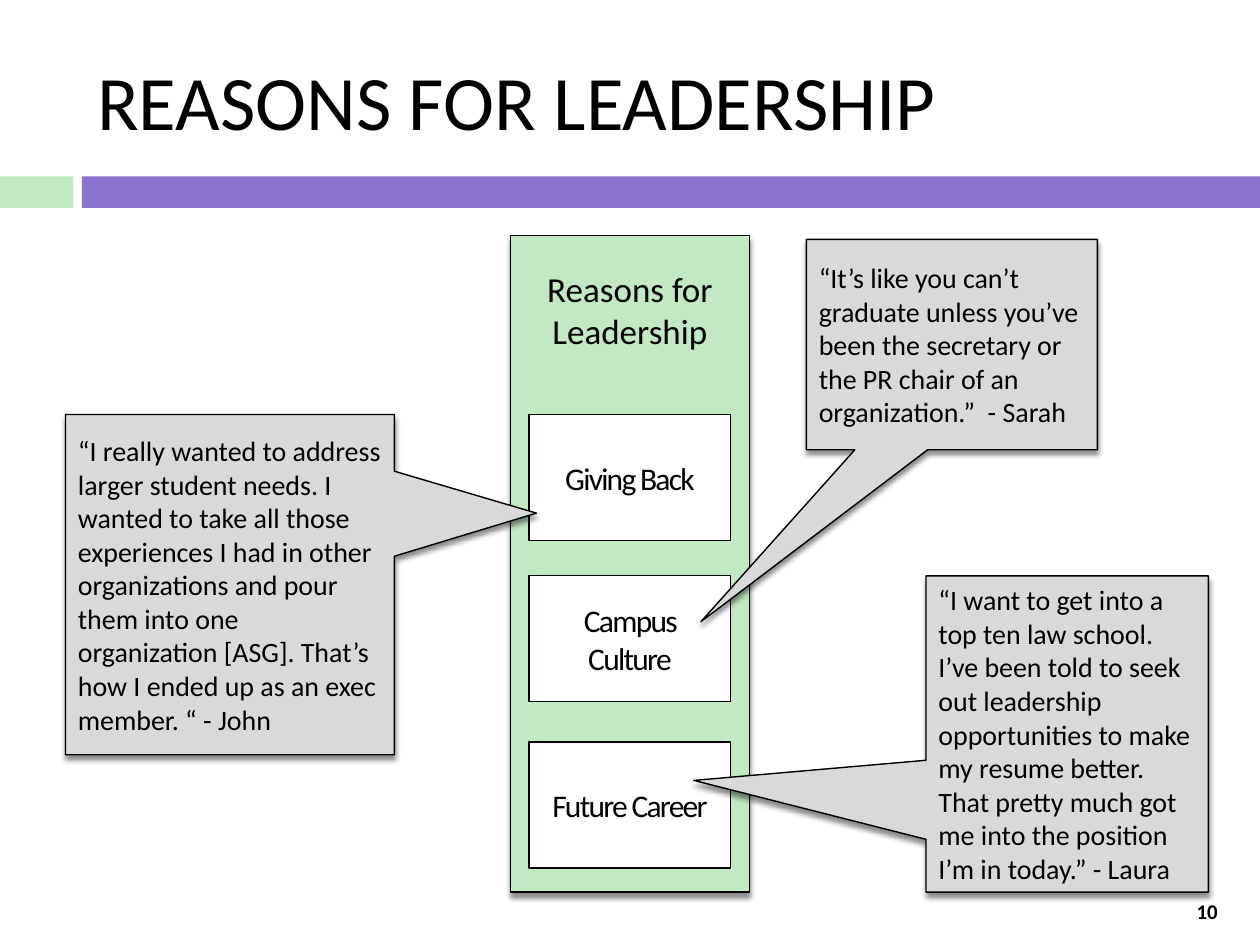
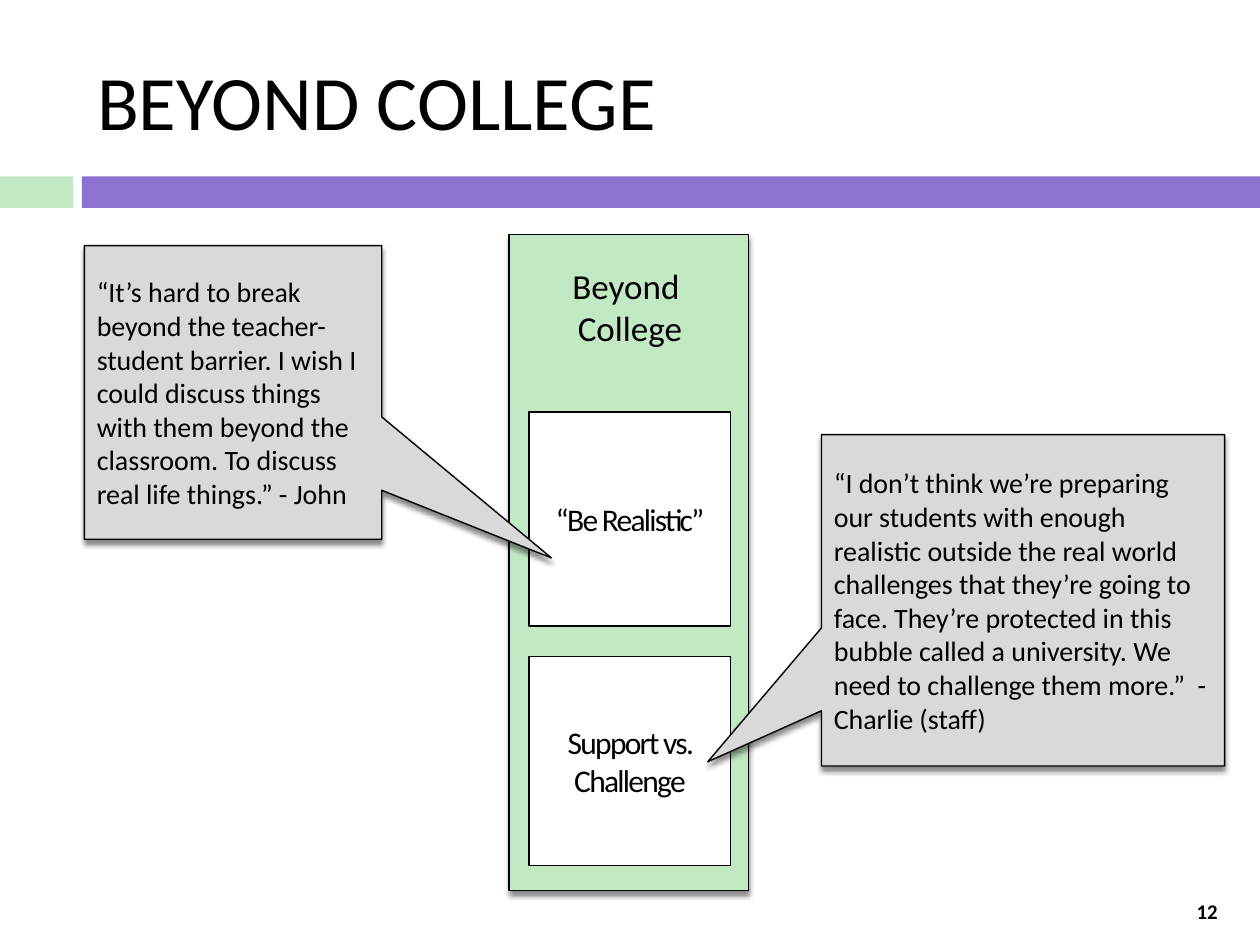
from lxml import etree
from pptx import Presentation
from pptx.dml.color import RGBColor
from pptx.enum.shapes import MSO_SHAPE as Shape
from pptx.enum.text import MSO_ANCHOR as Anchor, MSO_AUTO_SIZE as AutoSize, PP_ALIGN as Align
from pptx.oxml.ns import qn
from pptx.util import Inches, Pt

COLORS = {
    "mint": "C2E8C4",
    "purple": "8C73D0",
    "gray": "D9D9D9",
    "white": "FFFFFF",
    "black": "000000",
}
FONT = "Calibri"
TITLE = {"size": Pt(44)}
HEADING = {"size": Pt(20)}
REASON = {"size": Pt(18)}
QUOTE = {"size": Pt(16)}
PAGE_NUMBER = {"size": Pt(11.9), "bold": True}

TITLE_BOX = (0.67, 0.25, 8.92, 1.08)
PAGE_NUMBER_BOX = (9.29, 7.1, 0.58, 0.27)
BANDS = [((0, 1.4, 0.58, 0.25), "mint"), ((0.65, 1.4, 9.35, 0.25), "purple")]
REASON_LEFT, REASON_WIDTH = 4.2, 1.6

SLIDES = [
    {
        "title": "REASONS FOR LEADERSHIP",
        "number": "10",
        "panel": (4.05, 1.87, 1.9, 5.21),
        "heading": ((4.05, 2.07, 1.9, 0.77), "Reasons for Leadership"),
        "reasons": [
            (3.29, 1, "Giving Back"),
            (4.57, 1, "Campus Culture"),
            (5.89, 1, "Future Career"),
        ],
        "quotes": [
            ((6.4, 1.9, 2.31, 1.67), (-0.863, 1.318),
             "“It’s like you can’t graduate unless you’ve been the secretary or "
             "the PR chair of an organization.”  - Sarah"),
            ((7.35, 4.57, 2.24, 2.51), (-1.323, 0.147),
             "“I want to get into a top ten law school. I’ve been told to seek out "
             "leadership opportunities to make my resume better. That pretty much "
             "got me into the position I’m in today.” - Laura"),
            ((0.52, 3.29, 2.61, 2.7), (0.932, -0.21),
             "“I really wanted to address larger student needs. I wanted to take "
             "all those experiences I had in other organizations and pour them into "
             "one organization [ASG]. That’s how I ended up as an exec member. “ - John"),
        ],
    },
    {
        "title": "BEYOND COLLEGE",
        "number": "12",
        "panel": (4.04, 1.86, 1.9, 5.21),
        "heading": ((4.07, 2.05, 1.86, 0.77), "Beyond \nCollege"),
        "reasons": [
            (3.27, 1.7, "“Be Realistic”"),
            (5.21, 1.66, "Support vs. Challenge"),
        ],
        "quotes": [
            ((6.52, 3.45, 3.2, 2.63), (-0.782, 0.487),
             "“I don’t think we’re preparing our students with enough realistic "
             "outside the real world challenges that they’re going to face. They’re "
             "protected in this bubble called a university. We need to challenge "
             "them more.”  - Charlie (staff)"),
            ((0.67, 1.95, 2.36, 2.33), (1.071, 0.564),
             "“It’s hard to break beyond the teacher-student barrier. I wish I could "
             "discuss things with them beyond the classroom. To discuss real life "
             "things.” - John"),
        ],
    },
]


def color(name):
    return RGBColor.from_string(COLORS[name])


def lengths(box):
    return [Inches(value) for value in box]


def write(shape, text, style, align=Align.LEFT, anchor=Anchor.MIDDLE, spacing=None):
    frame = shape.text_frame
    frame.text = text
    frame.word_wrap = True
    frame.auto_size = AutoSize.NONE
    frame.vertical_anchor = anchor
    for paragraph in frame.paragraphs:
        paragraph.alignment = align
        for run in paragraph.runs:
            for name, value in {"name": FONT, **style}.items():
                setattr(run.font, name, value)
            run.font.color.rgb = color("black")
            if spacing:
                run._r.get_or_add_rPr().set("spc", str(spacing))


def add_box(shapes, box, fill, kind=Shape.RECTANGLE, outlined=True):
    shape = shapes.add_shape(kind, *lengths(box))
    shape.shadow.inherit = False
    shape.fill.solid()
    shape.fill.fore_color.rgb = color(fill)
    if outlined:
        shape.line.color.rgb = color("black")
        shape.line.width = Pt(0.79)
    else:
        shape.line.fill.background()
    return shape


def add_shadow(shape):
    effects = shape.element.spPr.find(qn("a:effectLst"))
    shadow = etree.SubElement(
        effects, qn("a:outerShdw"), blurRad=str(Pt(3)), dist=str(Pt(2.4)),
        dir="5400000", algn="ctr", rotWithShape="0")
    tint = etree.SubElement(shadow, qn("a:srgbClr"), val=COLORS["black"])
    etree.SubElement(tint, qn("a:alpha"), val="45000")


def add_text(shapes, box, text, style, anchor):
    write(shapes.add_textbox(*lengths(box)), text, style, Align.CENTER, anchor)


def add_panel(slide, content):
    shapes = slide.shapes.add_group_shape().shapes
    add_shadow(add_box(shapes, content["panel"], "mint"))
    add_text(shapes, *content["heading"], HEADING, Anchor.TOP)
    for top, height, label in content["reasons"]:
        reason = add_box(shapes, (REASON_LEFT, top, REASON_WIDTH, height), "white")
        write(reason, label, REASON, Align.CENTER, spacing=-100)


def add_quote(slide, box, pointer, text):
    callout = add_box(slide.shapes, box, "gray", Shape.RECTANGULAR_CALLOUT)
    for index, offset in enumerate(pointer):
        callout.adjustments[index] = offset
    add_shadow(callout)
    write(callout, text, QUOTE)


def add_title(slide, text):
    title = slide.shapes.title
    title.left, title.top, title.width, title.height = lengths(TITLE_BOX)
    write(title, text, TITLE)


def add_bands(slide):
    for box, fill in BANDS:
        add_box(slide.shapes, box, fill, outlined=False)


def build_slide(presentation, content):
    slide = presentation.slides.add_slide(presentation.slide_layouts[5])
    add_bands(slide)
    add_panel(slide, content)
    add_title(slide, content["title"])
    for box, pointer, text in content["quotes"]:
        add_quote(slide, box, pointer, text)
    add_text(slide.shapes, PAGE_NUMBER_BOX, content["number"], PAGE_NUMBER, Anchor.MIDDLE)


def main():
    presentation = Presentation()
    presentation.slide_width, presentation.slide_height = Inches(10), Inches(7.5)
    for content in SLIDES:
        build_slide(presentation, content)
    presentation.save("out.pptx")


if __name__ == "__main__":
    main()
